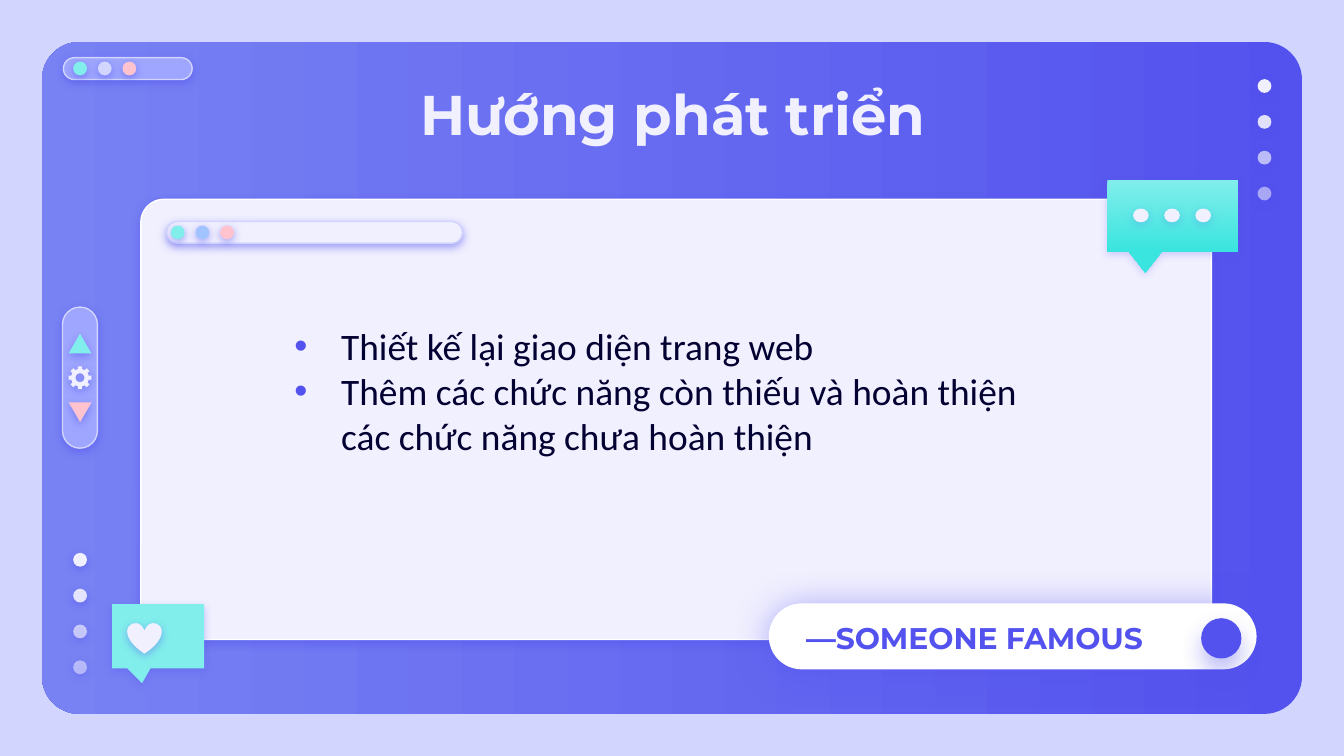
import math
import lxml.etree
import pptx
import pptx.util
import pptx.dml.color
import pptx.enum.shapes
import pptx.enum.text
import pptx.oxml.ns

Pt = pptx.util.Pt
RGB = pptx.dml.color.RGBColor
KIND = pptx.enum.shapes.MSO_SHAPE
ALIGN = pptx.enum.text.PP_ALIGN
MID = pptx.enum.text.MSO_ANCHOR.MIDDLE
TOP = pptx.enum.text.MSO_ANCHOR.TOP
qn = pptx.oxml.ns.qn
sub = lxml.etree.SubElement

BLUE = RGB(0x53, 0x52, 0xEE)
SKY = RGB(0x78, 0x82, 0xF3)
LILAC = RGB(0x9E, 0xA6, 0xFF)
MIST = RGB(0xD2, 0xD6, 0xFF)
PALE = RGB(0xF1, 0xF0, 0xFF)
WHITE = RGB(0xFF, 0xFF, 0xFF)
MINT = RGB(0x81, 0xEE, 0xEB)
TEAL = RGB(0x3A, 0xE4, 0xDF)
PINK = RGB(0xFF, 0xC3, 0xD0)
AZURE = RGB(0xA1, 0xC3, 0xFF)
INK = RGB(0x03, 0x00, 0x32)

deck = pptx.Presentation()
deck.slide_width, deck.slide_height = Pt(720), Pt(405)
slide = deck.slides.add_slide(deck.slide_layouts[5])
slide.background.fill.solid()
slide.background.fill.fore_color.rgb = MIST
forms = slide.shapes


def paint(form, fill, line=None, shade=50, blur=4.5, drop=1.5, clear=100):
    form.fill.solid()
    form.fill.fore_color.rgb = fill
    if clear < 100:
        tint = form.element.spPr.find(qn("a:solidFill"))[0]
        sub(tint, qn("a:alpha"), val=str(clear * 1000))
    if line is None:
        form.line.fill.background()
    else:
        form.line.color.rgb = line
        form.line.width = Pt(0.75)
    form.shadow.inherit = False
    if shade:
        glow = sub(form.element.spPr.find(qn("a:effectLst")), qn("a:outerShdw"),
                   blurRad=str(Pt(blur)), dist=str(Pt(drop)), dir="5400000",
                   algn="bl", rotWithShape="0")
        tint = sub(glow, qn("a:srgbClr"), val=str(BLUE))
        sub(tint, qn("a:alpha"), val=str(shade * 1000))


def make(kind, x, y, wide, high, fill, turns=(), **look):
    form = forms.add_shape(kind, Pt(x), Pt(y), Pt(wide), Pt(high))
    for i, turn in enumerate(turns):
        form.adjustments[i] = turn
    paint(form, fill, **look)
    return form


panel = make(KIND.ROUNDED_RECTANGLE, 22.5, 22.5, 675, 360, BLUE, [0.056], shade=0)
panel.fill.gradient()
panel.fill.gradient_angle = 180
for stop, tint in zip(panel.fill.gradient_stops, (BLUE, SKY)):
    stop.color.rgb = tint

DOT = 7.4
make(KIND.ROUNDED_RECTANGLE, 34, 30.9, 69, 11.7, LILAC, [0.5], line=MIST)
for i, tint in enumerate((MINT, MIST, PINK)):
    make(KIND.OVAL, 39.2 + 13.2 * i, 33, DOT, DOT, tint)
for x, y in ((673.7, 42.4), (39.2, 296.2)):
    for i, clear in enumerate((100, 90, 67, 54)):
        make(KIND.OVAL, x, y + 19.2 * i, DOT, DOT, PALE, clear=clear)

title = forms.title
forms.element.append(title.element)
title.left, title.top, title.width, title.height = Pt(56.9), Pt(35.3), Pt(607), Pt(45.4)
title.text_frame.text = "Hướng phát triển"

make(KIND.ROUNDED_RECTANGLE, 33.5, 164.5, 18.7, 75.6, LILAC, [0.5], line=MIST)
make(KIND.ISOSCELES_TRIANGLE, 36.8, 178.8, 12.2, 10.5, MINT)
down = make(KIND.ISOSCELES_TRIANGLE, 36.8, 215.6, 12.2, 10.5, PINK)
down.rotation = 180

rim = []
for i in range(8):
    for swing, reach in ((-0.22, 4.8), (-0.18, 6.2), (0.18, 6.2), (0.22, 4.8)):
        rim.append((math.pi / 4 * i + swing, reach))
hole = [(math.pi / 12 * i, 2.4) for i in range(24)]
rings = [[(Pt(42.9 + far * math.cos(turn)), Pt(202.4 + far * math.sin(turn)))
          for turn, far in ring] for ring in (rim, hole)]
pen = forms.build_freeform(*rings[0][0])
pen.add_line_segments(rings[0][1:])
pen.move_to(*rings[1][0])
pen.add_line_segments(rings[1][1:])
paint(pen.convert_to_shape(), PALE)

make(KIND.ROUNDED_RECTANGLE, 75.5, 106.8, 573.5, 235.8, PALE, [0.052], line=WHITE)
make(KIND.ROUNDED_RECTANGLE, 412.2, 323.6, 260.6, 34.6, WHITE, [0.5], line=WHITE, blur=19.1)
name = forms.add_textbox(Pt(424.8), Pt(331.2), Pt(235.4), Pt(20.2))
name.text_frame.text = "—SOMEONE FAMOUS"

make(KIND.ROUNDED_RECTANGULAR_CALLOUT, 60, 323.7, 49.4, 34.4, MINT, [-0.174, 0.731, 0], shade=31)
make(KIND.HEART, 68.2, 333.6, 18.4, 16.6, PALE, shade=38)
chat = make(KIND.ROUNDED_RECTANGULAR_CALLOUT, 593.2, 96.5, 70, 38.4, MINT, [-0.209, 0.79, 0], shade=24)
chat.fill.gradient()
chat.fill.gradient_angle = 270
for stop, tint in zip(chat.fill.gradient_stops, (MINT, TEAL)):
    stop.color.rgb = tint
for i in range(3):
    make(KIND.OVAL, 607 + 16.7 * i, 111.7, 8.4, 7.4, PALE, shade=18)

make(KIND.ROUNDED_RECTANGLE, 89.3, 118.7, 158.4, 11.6, PALE, [0.5], line=MIST)
for i, tint in enumerate((MINT, AZURE, PINK)):
    make(KIND.OVAL, 91.5 + 13.2 * i, 120.8, DOT, DOT, tint)
make(KIND.OVAL, 643.5, 331.2, 21.6, 21.6, BLUE, shade=38, blur=12.4, drop=6.8)

plan = forms.add_textbox(Pt(139.7), Pt(169.2), Pt(429), Pt(80))
plan.text_frame.text = ("Thiết kế lại giao diện trang web\n"
                        "Thêm các chức năng còn thiếu và hoàn thiện các chức năng chưa hoàn thiện")
for para in plan.text_frame.paragraphs:
    prop = para._p.get_or_add_pPr()
    prop.set("marL", str(Pt(36)))
    prop.set("indent", str(Pt(-25)))
    sub(sub(prop, qn("a:buClr")), qn("a:srgbClr"), val=str(BLUE))
    sub(prop, qn("a:buFont"), typeface="Arial")
    sub(prop, qn("a:buChar"), char="•")

for box, font, size, tint, bold, side, hold in (
        (title, "Montserrat", 30, PALE, True, ALIGN.CENTER, TOP),
        (name, "Montserrat", 16, BLUE, True, ALIGN.LEFT, MID),
        (plan, "Calibri", 20, INK, False, ALIGN.LEFT, MID)):
    frame = box.text_frame
    frame.word_wrap = True
    frame.auto_size = pptx.enum.text.MSO_AUTO_SIZE.NONE
    frame.vertical_anchor = hold
    frame.margin_left = frame.margin_right = Pt(7.2)
    frame.margin_top = frame.margin_bottom = Pt(7.2)
    for para in frame.paragraphs:
        para.alignment = side
        for run in para.runs:
            run.font.name = font
            run.font.size = Pt(size)
            run.font.bold = bold
            run.font.color.rgb = tint

deck.save("out.pptx")
